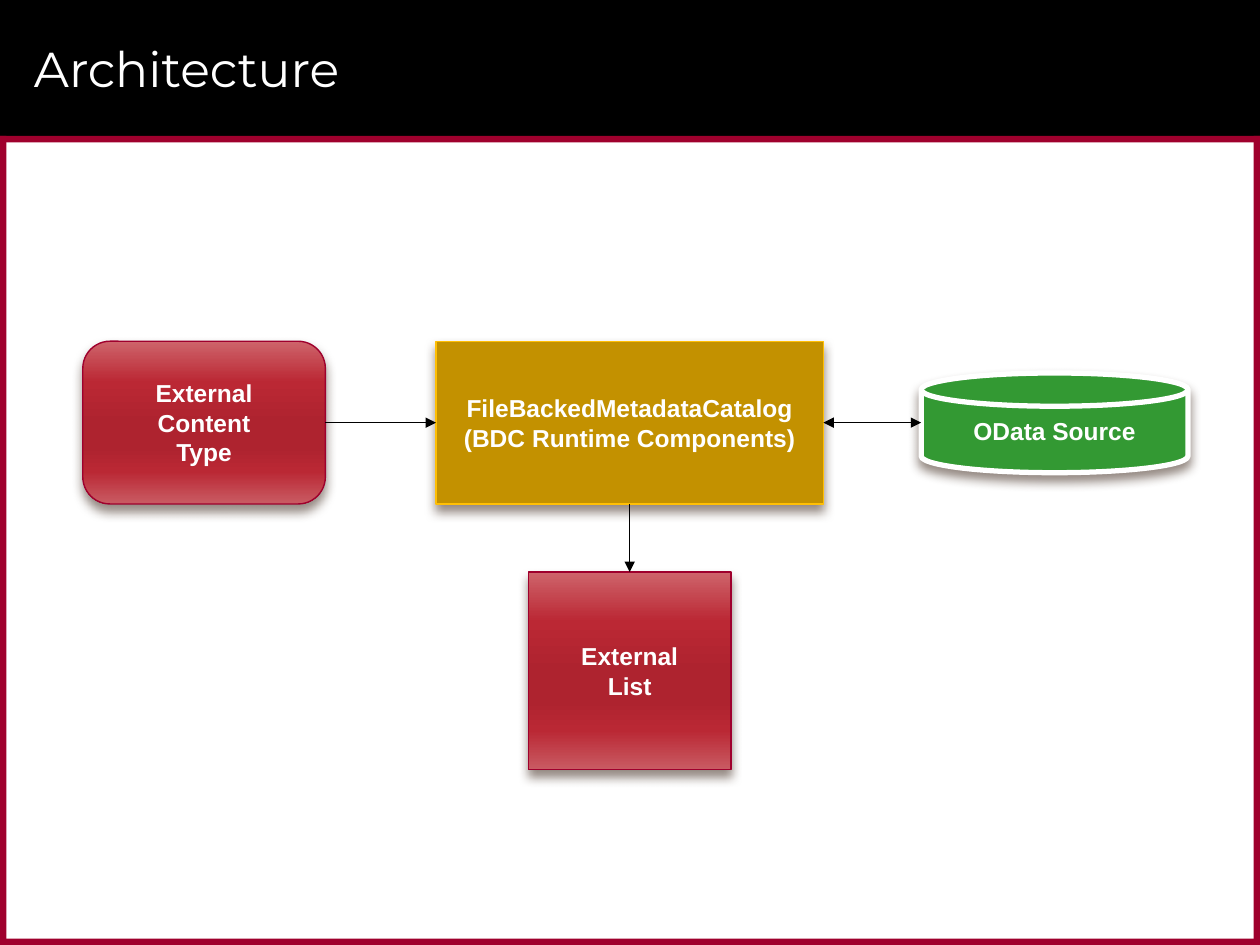
from dataclasses import dataclass

from lxml.etree import SubElement
from pptx import Presentation
from pptx.dml.color import RGBColor
from pptx.enum.shapes import MSO_CONNECTOR, MSO_SHAPE
from pptx.enum.text import MSO_ANCHOR, PP_ALIGN
from pptx.oxml.ns import qn
from pptx.util import Cm, Pt

BLACK = RGBColor(0x00, 0x00, 0x00)
WHITE = RGBColor(0xFF, 0xFF, 0xFF)
CRIMSON = RGBColor(0x9F, 0x00, 0x2D)
OCHRE = RGBColor(0xC3, 0x91, 0x00)
AMBER = RGBColor(0xFF, 0xBF, 0x05)
GREEN = RGBColor(0x33, 0x99, 0x33)
SHADOW = RGBColor(0x4E, 0x3B, 0x30)
RED_STOPS = (
    (0, RGBColor(0xCE, 0x64, 0x6B)),
    (25, RGBColor(0xBB, 0x28, 0x34)),
    (50, RGBColor(0xAE, 0x23, 0x2F)),
    (65, RGBColor(0xAE, 0x23, 0x2F)),
    (80, RGBColor(0xBA, 0x28, 0x34)),
    (100, RGBColor(0xC9, 0x5B, 0x63)),
)

WIDTH, HEIGHT = 25.4, 19.05
HEADER, EDGE = 2.74, 0.13
THIN = 0.79


@dataclass(frozen=True)
class Node:
    text: str
    kind: MSO_SHAPE
    left: float
    top: float
    width: float
    height: float
    fill: RGBColor | None
    line: RGBColor
    weight: float = THIN

    @property
    def right(self) -> float:
        return self.left + self.width

    @property
    def bottom(self) -> float:
        return self.top + self.height

    @property
    def center(self) -> float:
        return self.left + self.width / 2

    @property
    def middle(self) -> float:
        return self.top + self.height / 2


def write_text(tf, text: str, *, font: str, size: float, bold: bool = False,
               align: PP_ALIGN = PP_ALIGN.LEFT) -> None:
    tf.word_wrap = True
    tf.vertical_anchor = MSO_ANCHOR.MIDDLE
    p = tf.paragraphs[0]
    p.text = text
    p.alignment = align
    for r in p.runs:
        r.font.name = font
        r.font.size = Pt(size)
        r.font.bold = bold
        r.font.color.rgb = WHITE


def add_bar(s, left: float, top: float, width: float, height: float, color: RGBColor) -> None:
    sp = s.shapes.add_shape(MSO_SHAPE.RECTANGLE, Cm(left), Cm(top), Cm(width), Cm(height))
    sp.shadow.inherit = False
    sp.fill.solid()
    sp.fill.fore_color.rgb = color
    sp.line.fill.background()


def fill_red_gradient(sp) -> None:
    sp.fill.gradient()
    sp.fill.gradient_angle = 270
    stops = sp._element.spPr.find(".//" + qn("a:gsLst"))
    for old in list(stops):
        stops.remove(old)
    for position, color in RED_STOPS:
        gs = SubElement(stops, qn("a:gs"), pos=str(position * 1000))
        SubElement(gs, qn("a:srgbClr"), val=str(color))


def add_drop_shadow(sp) -> None:
    sp.shadow.inherit = False
    effects = sp._element.spPr.find(qn("a:effectLst"))
    shadow = SubElement(effects, qn("a:outerShdw"), blurRad=str(Pt(6)), dist=str(Pt(4)),
                        dir="5400000", rotWithShape="0")
    color = SubElement(shadow, qn("a:srgbClr"), val=str(SHADOW))
    SubElement(color, qn("a:alpha"), val="60000")


def add_node(s, node: Node) -> None:
    sp = s.shapes.add_shape(node.kind, Cm(node.left), Cm(node.top), Cm(node.width), Cm(node.height))
    if node.fill is None:
        fill_red_gradient(sp)
    else:
        sp.fill.solid()
        sp.fill.fore_color.rgb = node.fill
    sp.line.color.rgb = node.line
    sp.line.width = Pt(node.weight)
    add_drop_shadow(sp)
    tf = sp.text_frame
    tf.margin_left = tf.margin_right = tf.margin_top = tf.margin_bottom = Cm(0.1)
    write_text(tf, node.text, font="Arial", size=14, bold=True, align=PP_ALIGN.CENTER)


def add_arrow(s, start: tuple[float, float], end: tuple[float, float], *,
              both_ways: bool = False) -> None:
    cx = s.shapes.add_connector(MSO_CONNECTOR.STRAIGHT, *map(Cm, start + end))
    cx.line.color.rgb = BLACK
    cx.line.width = Pt(THIN)
    spPr = cx._element.spPr
    ln = spPr.find(qn("a:ln"))
    if both_ways:
        SubElement(ln, qn("a:headEnd"), type="triangle")
    SubElement(ln, qn("a:tailEnd"), type="triangle")
    SubElement(spPr, qn("a:effectLst"))


def add_frame(s) -> None:
    add_bar(s, 0, 0, WIDTH, HEADER, BLACK)
    for top in (HEADER, HEIGHT - EDGE):
        add_bar(s, 0, top, WIDTH, EDGE, CRIMSON)
    for left in (WIDTH - EDGE, 0):
        add_bar(s, left, HEADER, EDGE, HEIGHT - HEADER, CRIMSON)


def add_title(s, text: str) -> None:
    title = s.shapes.title
    title.left, title.top, title.width, title.height = Cm(0.43), Cm(0.2), Cm(23.93), Cm(2.34)
    write_text(title.text_frame, text, font="Montserrat", size=28)
    title._element.getparent().append(title._element)


def main() -> None:
    prs = Presentation()
    prs.slide_width, prs.slide_height = Cm(WIDTH), Cm(HEIGHT)
    s = prs.slides.add_slide(prs.slide_layouts[5])
    add_frame(s)
    add_title(s, "Architecture")

    source = Node("OData Source", MSO_SHAPE.FLOWCHART_MAGNETIC_DISK,
                  18.57, 7.52, 5.38, 2.01, GREEN, WHITE, 3)
    catalog = Node("FileBackedMetadataCatalog\n(BDC Runtime Components)", MSO_SHAPE.RECTANGLE,
                   8.79, 6.88, 7.81, 3.28, OCHRE, AMBER)
    content = Node("External\nContent\nType", MSO_SHAPE.FLOWCHART_ALTERNATE_PROCESS,
                   1.67, 6.88, 4.89, 3.28, None, CRIMSON)
    listing = Node("External\nList", MSO_SHAPE.RECTANGLE,
                   10.65, 11.53, 4.09, 3.99, None, CRIMSON)
    for node in (source, catalog, content, listing):
        add_node(s, node)

    add_arrow(s, (content.right, catalog.middle), (catalog.left, catalog.middle))
    add_arrow(s, (catalog.center, catalog.bottom), (catalog.center, listing.top))
    add_arrow(s, (catalog.right, catalog.middle), (source.left, catalog.middle), both_ways=True)
    prs.save("out.pptx")


if __name__ == "__main__":
    main()
